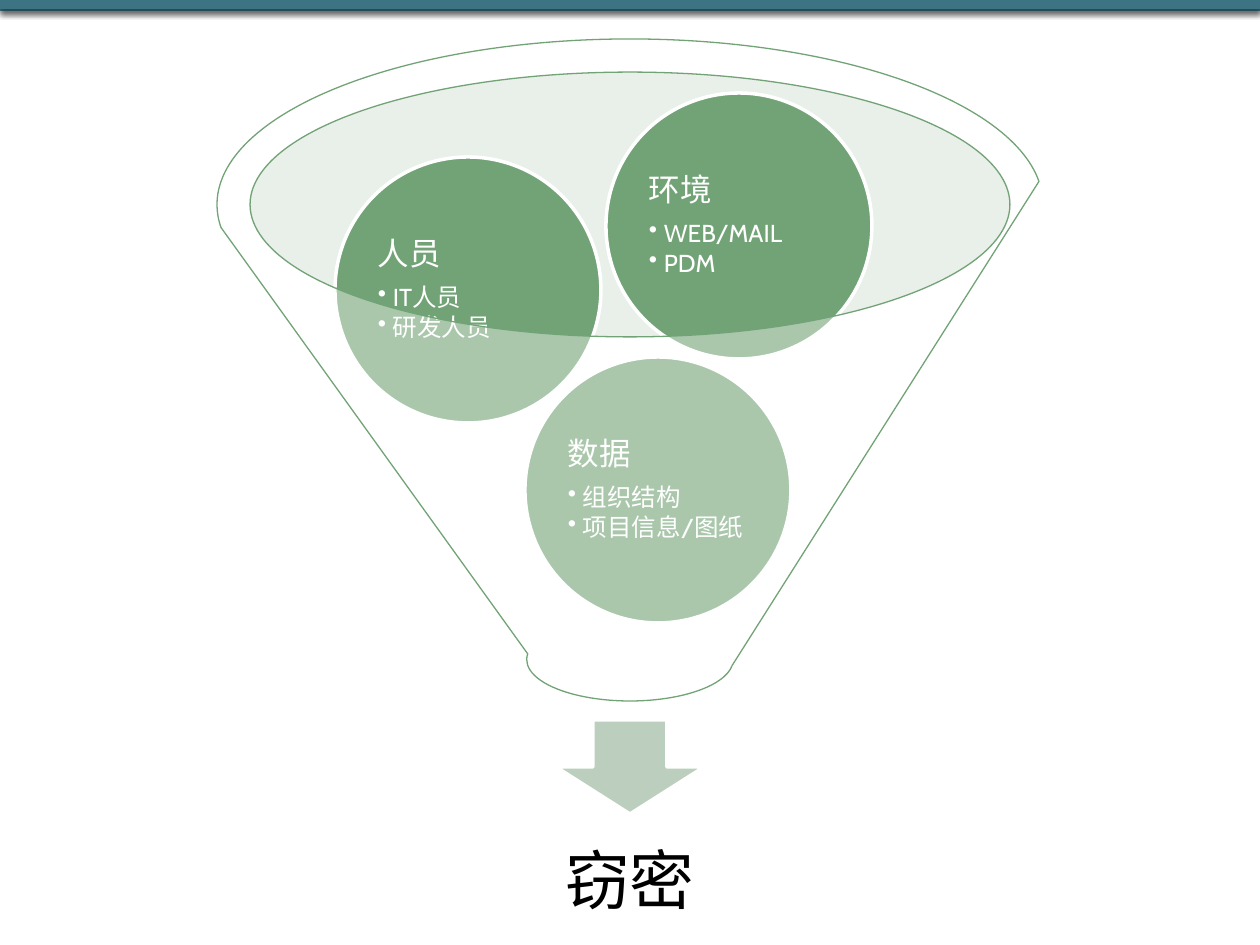
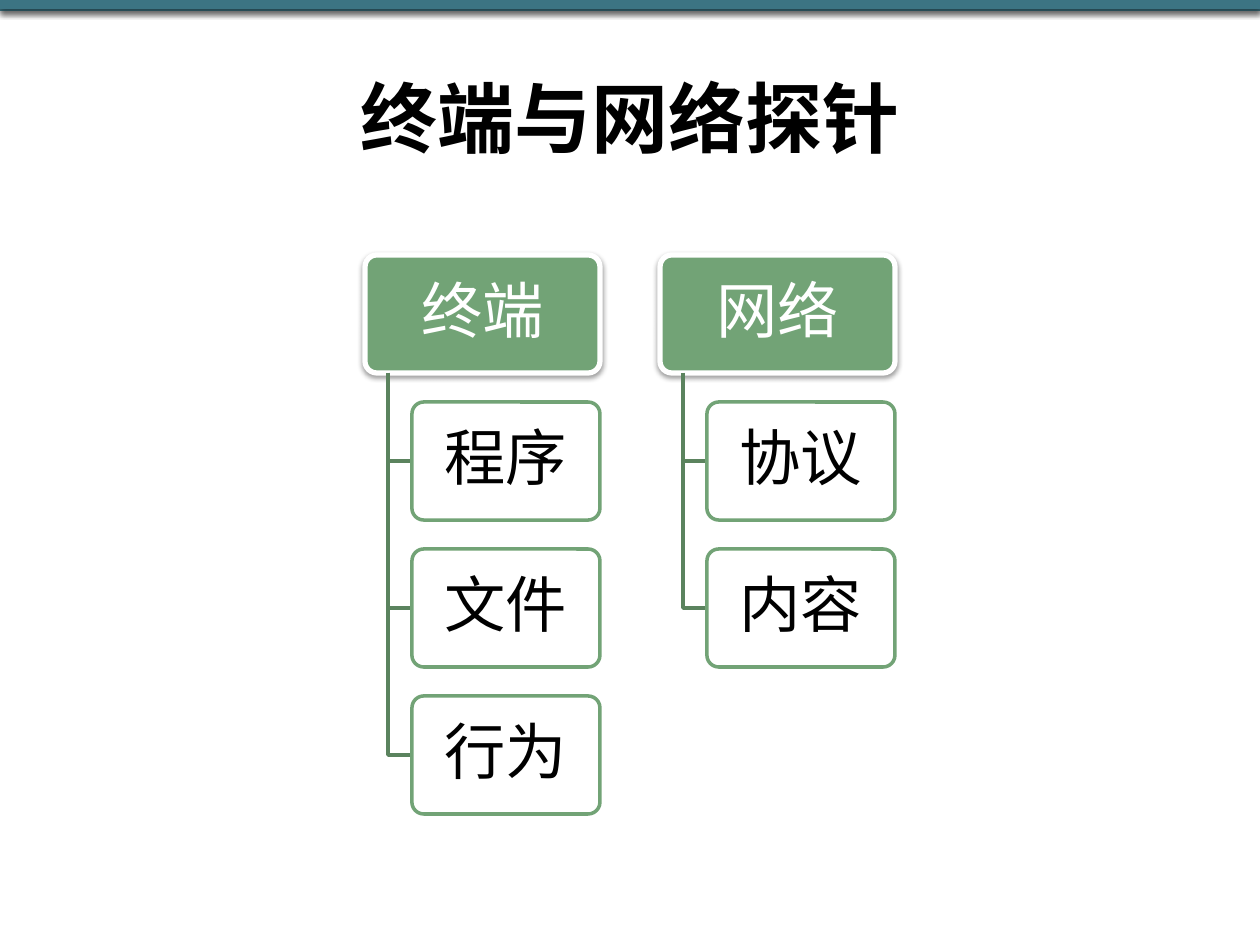
from dataclasses import dataclass

from lxml.etree import SubElement
from pptx import Presentation
from pptx.dml.color import RGBColor
from pptx.enum.lang import MSO_LANGUAGE_ID
from pptx.enum.shapes import MSO_CONNECTOR, MSO_SHAPE
from pptx.enum.text import MSO_ANCHOR, PP_ALIGN
from pptx.oxml.ns import qn
from pptx.util import Emu, Pt

SLIDE_SIZE = (1260, 945)
BAND_HEIGHTS = (6, 4)

LEAK_RESULT = ("窃密", (276, 795, 708, 178))
FUNNEL_BOX = (217, 39, 826, 662)
MOUTH_BOX = (249, 72, 762, 265)
ARROW_BOX = (556, 720, 148, 94)
SOURCE_DIAMETER = 266
LEAK_SOURCES = [
    ("数据", ["组织结构", "项目信息/图纸"], (525, 357)),
    ("人员", ["IT人员", "研发人员"], (335, 157)),
    ("环境", ["WEB/MAIL", "PDM"], (606, 93)),
]

PROBE_TITLE = ("终端与网络探针", (63, 38, 1134, 158))
PROBES = [
    ("终端", ["程序", "文件", "行为"]),
    ("网络", ["协议", "内容"]),
]
PROBE_LEFT, PROBE_TOP = 365, 255
PROBE_STEP, ROW_STEP = 295, 147
HEAD_WIDTH, ITEM_WIDTH, NODE_HEIGHT = 235, 188, 118
TRUNK_INDENT, ITEM_INDENT = 23, 47


@dataclass(frozen=True)
class Theme:
    """Colours, font and type sizes shared by the slides."""

    font: str = "Cabin"
    band: str = "3C7483"
    green: str = "72A376"
    branch: str = "5B835E"
    mouth: str = "C9D7CA"
    arrow: str = "BCCEBD"
    white: str = "FFFFFF"
    black: str = "000000"
    title_size: int = 44
    result_size: int = 37
    node_size: int = 35
    source_size: int = 18
    detail_size: int = 14


THEME = Theme()


def px(length):
    """Turn pixels into EMU."""
    return Emu(round(length * 914400 / 126))


def set_line(shape, color, width):
    """Give a shape a solid outline, or none without a colour."""
    if color is None:
        shape.line.fill.background()
    else:
        shape.line.color.rgb = RGBColor.from_string(color)
        shape.line.width = Pt(width)


def set_shadow(shape, shadowed=False):
    """Replace the inherited shadow by a soft one or by none."""
    effects = SubElement(shape.element.spPr, qn("a:effectLst"))
    if shadowed:
        shadow = SubElement(effects, qn("a:outerShdw"), blurRad=str(Pt(3.1)),
                            dist=str(Pt(1.6)), dir="5400000", rotWithShape="0")
        color = SubElement(shadow, qn("a:srgbClr"), val=THEME.black)
        SubElement(color, qn("a:alpha"), val="38000")


def add_figure(slide, kind, box, fill, line=None, width=0, opacity=100, shadowed=False):
    """Add a filled preset shape."""
    shape = slide.shapes.add_shape(kind, *map(px, box))
    shape.fill.solid()
    shape.fill.fore_color.rgb = RGBColor.from_string(fill)
    if opacity < 100:
        color = shape.element.spPr.find(qn("a:solidFill")).find(qn("a:srgbClr"))
        SubElement(color, qn("a:alpha"), val=str(opacity * 1000))
    set_line(shape, line, width)
    set_shadow(shape, shadowed)
    return shape


def set_frame(shape, inset_x, inset_y):
    """Wrap and centre the text vertically inside even insets."""
    frame = shape.text_frame
    frame.word_wrap = True
    frame.vertical_anchor = MSO_ANCHOR.MIDDLE
    frame.margin_left = frame.margin_right = px(inset_x)
    frame.margin_top = frame.margin_bottom = px(inset_y)
    return frame


def format_paragraph(paragraph, size, color, align=PP_ALIGN.CENTER, spacing=0.9, bold=False):
    """Apply the theme font and paragraph settings."""
    paragraph.alignment = align
    paragraph.line_spacing = spacing
    for run in paragraph.runs:
        run.font.name = THEME.font
        run.font.size = Pt(size)
        run.font.bold = bold
        run.font.color.rgb = RGBColor.from_string(color)
        run.font.language_id = MSO_LANGUAGE_ID.SIMPLIFIED_CHINESE


def set_label(shape, text, size, color, insets=(9, 6), **settings):
    """Write one centred line of text."""
    frame = set_frame(shape, *insets)
    frame.text = text
    format_paragraph(frame.paragraphs[0], size, color, **settings)


def add_label(slide, text, box, size, **settings):
    """Add a free-standing line of black text."""
    textbox = slide.shapes.add_textbox(*map(px, box))
    set_label(textbox, text, size, THEME.black, **settings)


def add_bullet(paragraph):
    """Give a paragraph a hanging bullet."""
    properties = paragraph._p.get_or_add_pPr()
    properties.set("marL", str(px(15)))
    properties.set("indent", str(-px(15)))
    SubElement(properties, qn("a:buChar"), char="•")


def add_slide(presentation):
    """Add a blank slide with the shared top band."""
    slide = presentation.slides.add_slide(presentation.slide_layouts[6])
    for height in BAND_HEIGHTS:
        band = slide.shapes.add_connector(
            MSO_CONNECTOR.STRAIGHT, 0, px(height), px(SLIDE_SIZE[0]), px(height))
        set_line(band, THEME.band, 6)
        set_shadow(band, True)
    return slide


def add_source(slide, name, details, position):
    """Add a circle with a heading and bulleted details."""
    box = (*position, SOURCE_DIAMETER, SOURCE_DIAMETER)
    circle = add_figure(slide, MSO_SHAPE.OVAL, box, THEME.green, THEME.white, 2)
    frame = set_frame(circle, 4, 4)
    frame.text = "\n".join([name, *details])
    heading, *bullets = frame.paragraphs
    format_paragraph(heading, THEME.source_size, THEME.white, PP_ALIGN.LEFT)
    heading.space_after = Pt(7)
    for bullet in bullets:
        add_bullet(bullet)
        format_paragraph(bullet, THEME.detail_size, THEME.white, PP_ALIGN.LEFT)
    for bullet in bullets[:-1]:
        bullet.space_after = Pt(2)


def build_funnel_slide(presentation):
    """Show how the sources run through the funnel into a leak."""
    slide = add_slide(presentation)
    add_figure(slide, MSO_SHAPE.OVAL, MOUTH_BOX, THEME.mouth, opacity=40)
    add_figure(slide, MSO_SHAPE.DOWN_ARROW, ARROW_BOX, THEME.arrow, THEME.white, 2)
    add_label(slide, *LEAK_RESULT, THEME.result_size, insets=(36, 36))
    for source in LEAK_SOURCES:
        add_source(slide, *source)
    add_figure(slide, MSO_SHAPE.FUNNEL, FUNNEL_BOX, THEME.white, THEME.green, 0.75, opacity=40)


def add_node(slide, text, box, text_color, *look, **settings):
    """Add a rounded box with a label."""
    node = add_figure(slide, MSO_SHAPE.ROUNDED_RECTANGLE, box, *look, **settings)
    node.adjustments[0] = 0.1
    set_label(node, text, THEME.node_size, text_color)


def add_branch(slide, left, top, right, bottom):
    """Draw an elbow from a heading down to an item."""
    builder = slide.shapes.build_freeform(px(left), px(top))
    builder.add_line_segments(
        [(px(left), px(bottom)), (px(right), px(bottom))], close=False)
    branch = builder.convert_to_shape()
    branch.fill.background()
    set_line(branch, THEME.branch, 2)
    set_shadow(branch)


def build_probe_slide(presentation):
    """Show the probes and what each one watches."""
    slide = add_slide(presentation)
    add_label(slide, *PROBE_TITLE, THEME.title_size, spacing=1.0, bold=True)
    for column, (name, items) in enumerate(PROBES):
        left = PROBE_LEFT + column * PROBE_STEP
        add_node(slide, name, (left, PROBE_TOP, HEAD_WIDTH, NODE_HEIGHT),
                 THEME.white, THEME.green, THEME.white, 3, shadowed=True)
        item_left = left + ITEM_INDENT
        for row, item in enumerate(items, start=1):
            top = PROBE_TOP + row * ROW_STEP
            add_branch(slide, left + TRUNK_INDENT, PROBE_TOP + NODE_HEIGHT,
                       item_left, top + NODE_HEIGHT // 2)
            add_node(slide, item, (item_left, top, ITEM_WIDTH, NODE_HEIGHT),
                     THEME.black, THEME.white, THEME.green, 2, opacity=90)


def main():
    """Build and save the presentation."""
    presentation = Presentation()
    presentation.slide_width, presentation.slide_height = map(px, SLIDE_SIZE)
    build_funnel_slide(presentation)
    build_probe_slide(presentation)
    presentation.save("out.pptx")


if __name__ == "__main__":
    main()
